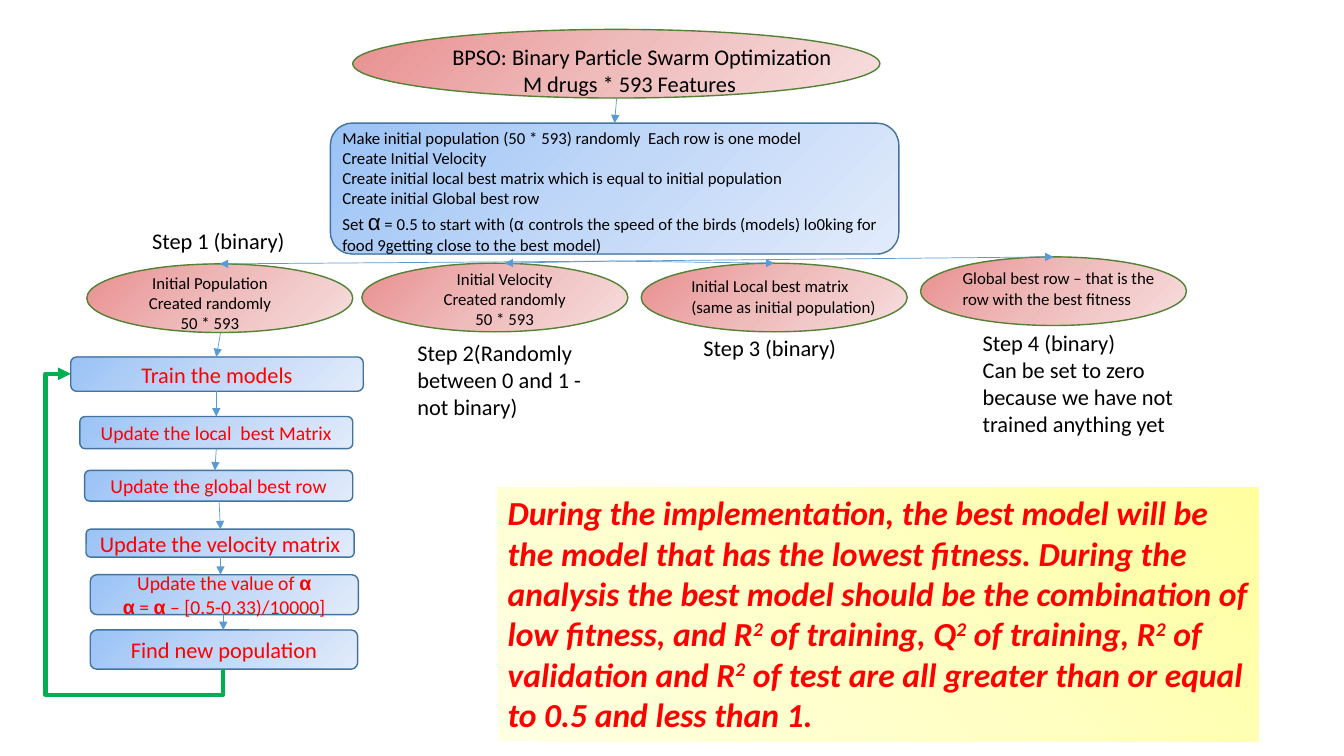
from pptx import Presentation
from pptx.dml.color import RGBColor
from pptx.enum.shapes import MSO_CONNECTOR, MSO_SHAPE
from pptx.enum.text import MSO_ANCHOR, PP_ALIGN
from pptx.oxml import parse_xml
from pptx.oxml.ns import nsdecls, qn
from pptx.util import Pt

OVAL, ROUND, RECT = MSO_SHAPE.OVAL, MSO_SHAPE.ROUNDED_RECTANGLE, MSO_SHAPE.RECTANGLE
STRAIGHT, ELBOW = MSO_CONNECTOR.STRAIGHT, MSO_CONNECTOR.ELBOW
LEFT, CENTER = PP_ALIGN.LEFT, PP_ALIGN.CENTER
TOP, MIDDLE = MSO_ANCHOR.TOP, MSO_ANCHOR.MIDDLE


def shades(*codes):
    return [RGBColor.from_string(code) for code in codes]


BLACK, RED, GREEN = shades("000000", "FF0000", "00B050")
EDGE, NAVY, SKY = shades("548235", "43739E", "5B9BD5")
ROSE = shades("E98F8F", "EFBCBC", "F7DEDE")
BLUE = shades("9AC3F5", "C2D8F8", "E1EBFB")
CREAM = shades("FFFFA0", "FFFFC5", "FFFFE3")

NOTE = ("During the implementation, the best model will be the model that has the "
        "lowest fitness. During the analysis the best model should be the combination "
        "of low fitness, and R|2| of training, Q|2| of training, R|2| of validation "
        "and R|2| of test are all greater than or equal to 0.5 and less than 1.")
SETUP = ["Make initial population (50 * 593) randomly  Each row is one model",
         "Create Initial Velocity",
         "Create initial local best matrix which is equal to initial population",
         "Create initial Global best row",
         "Set |α| = 0.5 to start with (|α |controls the speed of the birds (models) "
         "lo0king for food 9getting close to the best model)"]
# Each branch: oval place, label box and caption box within it, arrow tip offset
BRANCHES = [
    ((62, 188.5), (16.5, 2.5, 143, 51), CENTER,
     ["Initial Population", "Created randomly", "50 * 593"],
     (39.5, -29.5, 120, 27), ["Step 1 (binary)"], 95),
    ((258.5, 188), (46, 0.5, 112, 51), CENTER,
     ["Initial Velocity", "Created randomly", "50 * 593"],
     (32.5, 51, 148, 66), ["Step 2(Randomly between 0 and 1 - not binary)"], 102),
    ((458, 188), (28.7, 5.7, 160, 36), LEFT,
     ["Initial Local best matrix", "(same as initial population)"],
     (37.4, 47.4, 120, 27), ["Step 3 (binary)"], 95),
    ((657.5, 183.5), (23, 4.5, 154, 36), LEFT,
     ["Global best row – that is the row with the best fitness"],
     (37.3, 48.3, 173, 85),
     ["Step 4 (binary)", "Can be set to zero because we have not trained anything yet"], 95),
]
# Each step: box within the column, size, lines, x of the arrow's two ends
STEPS = [
    ((0, 0, 209, 24.5), 16, ["Train the models"], (107, 104)),
    ((6.5, 42.5, 195, 23), 14, ["Update the local  best Matrix"], (104, 104)),
    ((10, 81, 191.5, 22), 14, ["Update the global best row"], (104, 103)),
    ((11, 123, 191.5, 20), 16, ["Update the velocity matrix"], (106, 107)),
    ((14, 155.5, 191.5, 28.5), 14,
     ["Update the value of |α|", "|α| = |α| – [0.5-0.33)/10000]"], (107, 107)),
    ((14, 195, 191, 28), 16, ["Find new population"], (109, 109)),
]


def shift(box, part):
    return (box[0] + part[0], box[1] + part[1], *part[2:])


def blend(shape, tones, focus="t"):
    """Radial fill from the top left corner, or from the top right one."""
    far = 'l="100000" b="100000"' if focus == "tr" else 'r="100000" b="100000"'
    stops = "".join(f'<a:gs pos="{i * 50000}"><a:srgbClr val="{tone}"/></a:gs>'
                    for i, tone in enumerate(tones))
    shape.fill.solid()
    props = shape._element.spPr
    props.replace(props.find(qn("a:solidFill")), parse_xml(
        f'<a:gradFill {nsdecls("a")} rotWithShape="1"><a:gsLst>{stops}</a:gsLst>'
        f'<a:path path="circle"><a:fillToRect {far}/></a:path></a:gradFill>'))


def draw(slide, kind, box, tones, edge=None, focus="t"):
    shape = slide.shapes.add_shape(kind, *map(Pt, box))
    shape.shadow.inherit = False
    blend(shape, tones, focus)
    if edge is None:
        shape.line.fill.background()
    else:
        shape.line.color.rgb = edge
        shape.line.width = Pt(1)
    return shape


def write(shape, lines, size, color=BLACK, align=LEFT, anchor=TOP):
    """Fill in the lines; pieces between bars become the special runs returned."""
    frame = shape.text_frame
    frame.word_wrap = True
    frame.vertical_anchor = anchor
    frame.text = "\n".join(line.replace("|", "") if "|" not in line else ""
                           for line in lines)
    marks = []
    for para, line in zip(frame.paragraphs, lines):
        para.alignment = align
        if "|" in line:
            for i, piece in enumerate(line.split("|")):
                if piece:
                    run = para.add_run()
                    run.text = piece
                    if i % 2:
                        marks.append(run)
        for run in para.runs:
            run.font.name = "Calibri"
            run.font.size = Pt(size)
            run.font.color.rgb = color
    return marks


def label(slide, box, lines, size, align=LEFT):
    shape = slide.shapes.add_textbox(*map(Pt, box))
    return shape, write(shape, lines, size, align=align)


def arrow(slide, start, end, kind=STRAIGHT, color=SKY, width=0.5):
    link = slide.shapes.add_connector(kind, *map(Pt, (*start, *end)))
    link.line.color.rgb = color
    link.line.width = Pt(width)
    link.line._get_or_add_ln().append(
        parse_xml(f'<a:tailEnd {nsdecls("a")} type="triangle"/>'))
    link._element.spPr.append(parse_xml(f'<a:effectLst {nsdecls("a")}/>'))
    return link


def add_title(slide, box):
    draw(slide, OVAL, box, ROSE, EDGE)
    text, _ = label(slide, shift(box, (64, 6.5, 418, 46)),
                    ["BPSO: Binary Particle Swarm Optimization", "M drugs * 593 Features"], 16)
    text.text_frame.paragraphs[1]._p.get_or_add_pPr().set("marL", str(Pt(50.5)))
    arrow(slide, shift(box, (188.5, 49)), shift(box, (187, 67)))


def add_setup(slide, box):
    draw(slide, ROUND, box, BLUE, NAVY)
    _, marks = label(slide, shift(box, (1.5, -0.5, 400, 99)), SETUP, 12)
    for run, size in zip(marks, (16, 12)):
        run.font.name = "Arial"
        run.font.size = Pt(size)


def add_branch(slide, box, branch, hub):
    _, inner, align, lines, below, caption, tip = branch
    draw(slide, OVAL, box, ROSE, EDGE)
    label(slide, shift(box, inner), lines, 12, align)
    label(slide, shift(box, below), caption, 16)
    arrow(slide, hub, shift(box, (tip, 0)))


def add_loop(slide, start, end):
    """Elbow from the last step round the left side to the first one."""
    long, short = start[1] - end[1], start[0] - end[0]
    left = (start[0] + end[0] - long) / 2
    top = (start[1] + end[1] - short) / 2
    link = arrow(slide, (left + long, top), (left, top + short), ELBOW, GREEN, 3)
    props = link._element.spPr
    props.find(qn("a:xfrm")).set("rot", "5400000")
    props.replace(props.find(qn("a:prstGeom")), parse_xml(
        f'<a:prstGeom {nsdecls("a")} prst="bentConnector4"><a:avLst>'
        '<a:gd name="adj1" fmla="val -8600"/><a:gd name="adj2" fmla="val 116500"/>'
        '</a:avLst></a:prstGeom>'))


def add_steps(slide, box):
    floor = -17
    for part, size, lines, (tail, head) in STEPS:
        shape = draw(slide, ROUND, shift(box, part), BLUE, NAVY)
        for run in write(shape, lines, size, RED, CENTER, MIDDLE):
            run.font.name = "Arial"
            run.font.bold = True
        arrow(slide, shift(box, (tail, floor)), shift(box, (head, part[1])))
        floor = part[1] + part[3]
    add_loop(slide, shift(box, (109, floor)), shift(box, (0, 12)))


def add_note(slide, box):
    shape = draw(slide, RECT, box, CREAM, focus="tr")
    marks = write(shape, [NOTE], 24, RED)
    for run in shape.text_frame.paragraphs[0].runs:
        run.font.bold = run.font.italic = True
    for run in marks:
        run.font._element.set("baseline", "30000")


deck = Presentation()
deck.slide_width, deck.slide_height = Pt(960), Pt(540)
page = deck.slides.add_slide(deck.slide_layouts[6])
add_note(page, (355.5, 348, 543.5, 181.5))
add_setup(page, (236, 88, 406, 93.5))
add_title(page, (252, 21, 376.5, 49))
for item in BRANCHES:
    add_branch(page, (*item[0], 190, 49), item, (437, 186.5))
add_steps(page, (50.5, 255, 209, 223))
deck.save("out.pptx")
